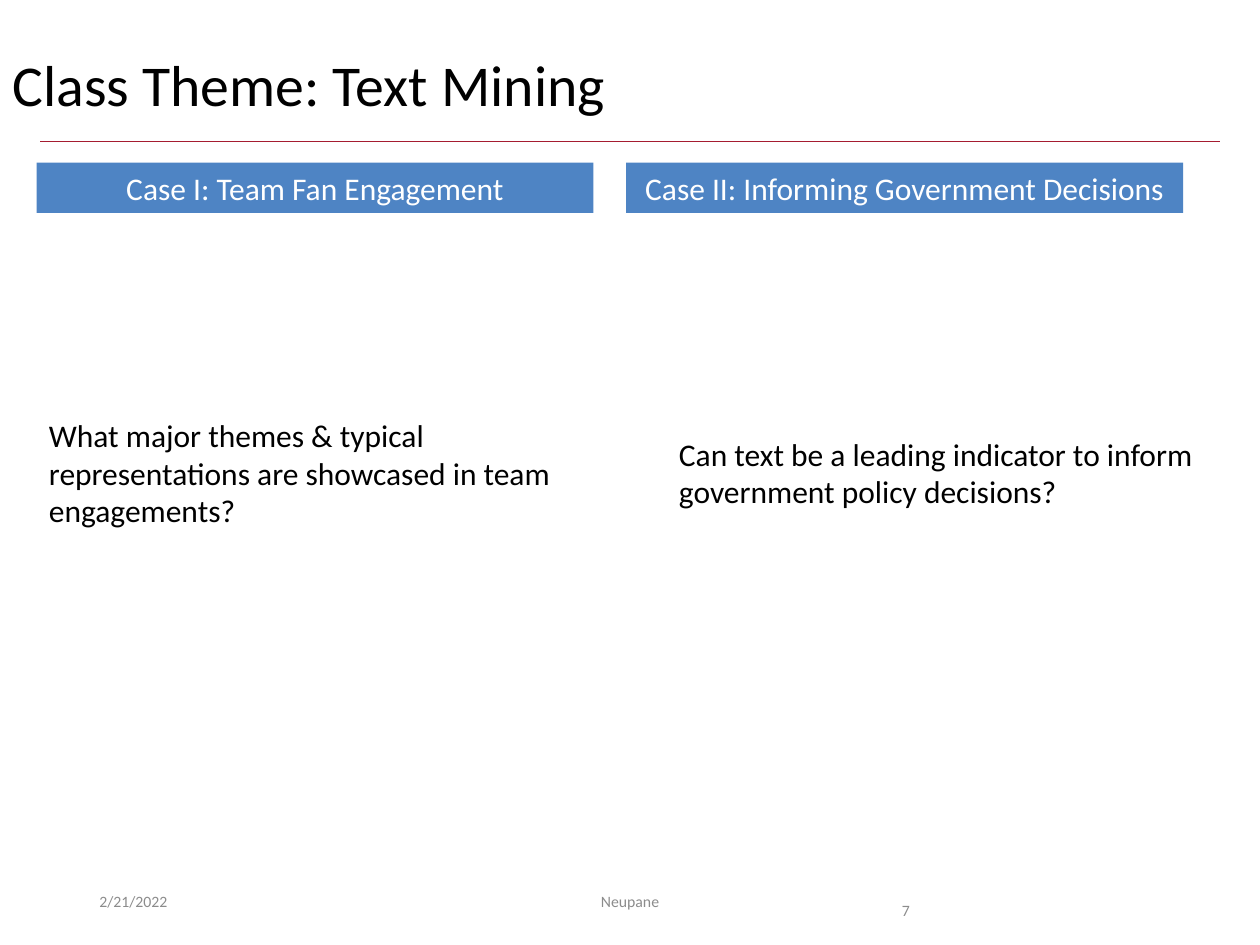
import dataclasses

import pptx
import pptx.dml.color
import pptx.enum.shapes
import pptx.enum.text
import pptx.oxml.ns
import pptx.util
from lxml import etree

Inches = pptx.util.Inches
Align = pptx.enum.text.PP_ALIGN
Anchor = pptx.enum.text.MSO_ANCHOR
AutoSize = pptx.enum.text.MSO_AUTO_SIZE


@dataclasses.dataclass(frozen=True)
class Theme:
    font: str = "Calibri"
    ink: str = "000000"
    white: str = "FFFFFF"
    muted: str = "8C8C8C"
    banner: str = "4E84C4"
    rule: str = "A51C30"
    title_size: int = 33
    body_size: int = 18
    footer_size: int = 9


@dataclasses.dataclass(frozen=True)
class Case:
    heading: str
    question: str
    banner_left: float
    question_left: float
    question_top: float
    question_height: float


@dataclasses.dataclass(frozen=True)
class FooterItem:
    text: str
    left: float
    width: float
    align: Align = Align.LEFT
    anchor: Anchor = Anchor.MIDDLE
    spacing: float = 1.0


THEME = Theme()
CASE_WIDTH = 4.42
BANNER_TOP, BANNER_HEIGHT = 1.29, 0.4
FOOTER_TOP, FOOTER_HEIGHT = 6.95, 0.4

CASES = [
    Case("Case I: Team Fan Engagement",
         "What major themes & typical representations are showcased in team engagements?",
         0.29, 0.29, 3.25, 1.01),
    Case("Case II: Informing Government Decisions",
         "Can text be a leading indicator to inform government policy decisions?",
         4.97, 5.29, 3.4, 0.71),
]
FOOTER = [
    FooterItem("2/21/2022", 0.69, 2.25),
    FooterItem("7", 7.06, 0.94, anchor=Anchor.TOP, spacing=2.0),
    FooterItem("Neupane", 3.31, 3.38, align=Align.CENTER),
]


def rgb(value: str) -> pptx.dml.color.RGBColor:
    return pptx.dml.color.RGBColor.from_string(value)


def write(sp, text: str, size: int, color: str, align: Align = Align.LEFT,
          anchor: Anchor = Anchor.TOP, spacing: float = 1.0,
          auto_size: AutoSize = AutoSize.NONE) -> None:
    """Fill a shape with one formatted paragraph."""
    tf = sp.text_frame
    tf.word_wrap = True
    tf.auto_size = auto_size
    tf.vertical_anchor = anchor
    p = tf.paragraphs[0]
    p.alignment = align
    p.line_spacing = spacing
    r = p.add_run()
    r.text = text
    r.font.name = THEME.font
    r.font.size = pptx.util.Pt(size)
    r.font.color.rgb = rgb(color)


def add_title(s, text: str) -> None:
    sp = s.shapes.title
    sp.left, sp.top = Inches(0), Inches(0.4)
    sp.width, sp.height = Inches(10), Inches(0.65)
    write(sp, text, THEME.title_size, THEME.ink, spacing=0.9)


def add_rule(s) -> None:
    line = s.shapes.add_connector(
        pptx.enum.shapes.MSO_CONNECTOR.STRAIGHT,
        Inches(0.32), Inches(1.12), Inches(9.68), Inches(1.12))
    line.line.color.rgb = rgb(THEME.rule)
    line.line.width = pptx.util.Pt(0.5)
    etree.SubElement(line._element.spPr, pptx.oxml.ns.qn("a:effectLst"))


def add_case(s, case: Case) -> None:
    # Banner heading
    sp = s.shapes.add_shape(
        pptx.enum.shapes.MSO_SHAPE.RECTANGLE, Inches(case.banner_left),
        Inches(BANNER_TOP), Inches(CASE_WIDTH), Inches(BANNER_HEIGHT))
    sp.shadow.inherit = False
    sp.fill.solid()
    sp.fill.fore_color.rgb = rgb(THEME.banner)
    sp.line.fill.background()
    write(sp, case.heading, THEME.body_size, THEME.white, Align.CENTER, Anchor.MIDDLE)

    # Research question
    sp = s.shapes.add_textbox(
        Inches(case.question_left), Inches(case.question_top),
        Inches(CASE_WIDTH), Inches(case.question_height))
    write(sp, case.question, THEME.body_size, THEME.ink,
          auto_size=AutoSize.SHAPE_TO_FIT_TEXT)


def add_footer_item(s, item: FooterItem) -> None:
    sp = s.shapes.add_textbox(Inches(item.left), Inches(FOOTER_TOP),
                              Inches(item.width), Inches(FOOTER_HEIGHT))
    write(sp, item.text, THEME.footer_size, THEME.muted,
          item.align, item.anchor, item.spacing)


def main() -> None:
    prs = pptx.Presentation()
    prs.slide_width, prs.slide_height = Inches(10), Inches(7.5)
    s = prs.slides.add_slide(prs.slide_layouts.get_by_name("Title Only"))

    add_rule(s)
    add_title(s, "Class Theme: Text Mining")
    for item in FOOTER:
        add_footer_item(s, item)
    for case in CASES:
        add_case(s, case)

    prs.save("out.pptx")


if __name__ == "__main__":
    main()
